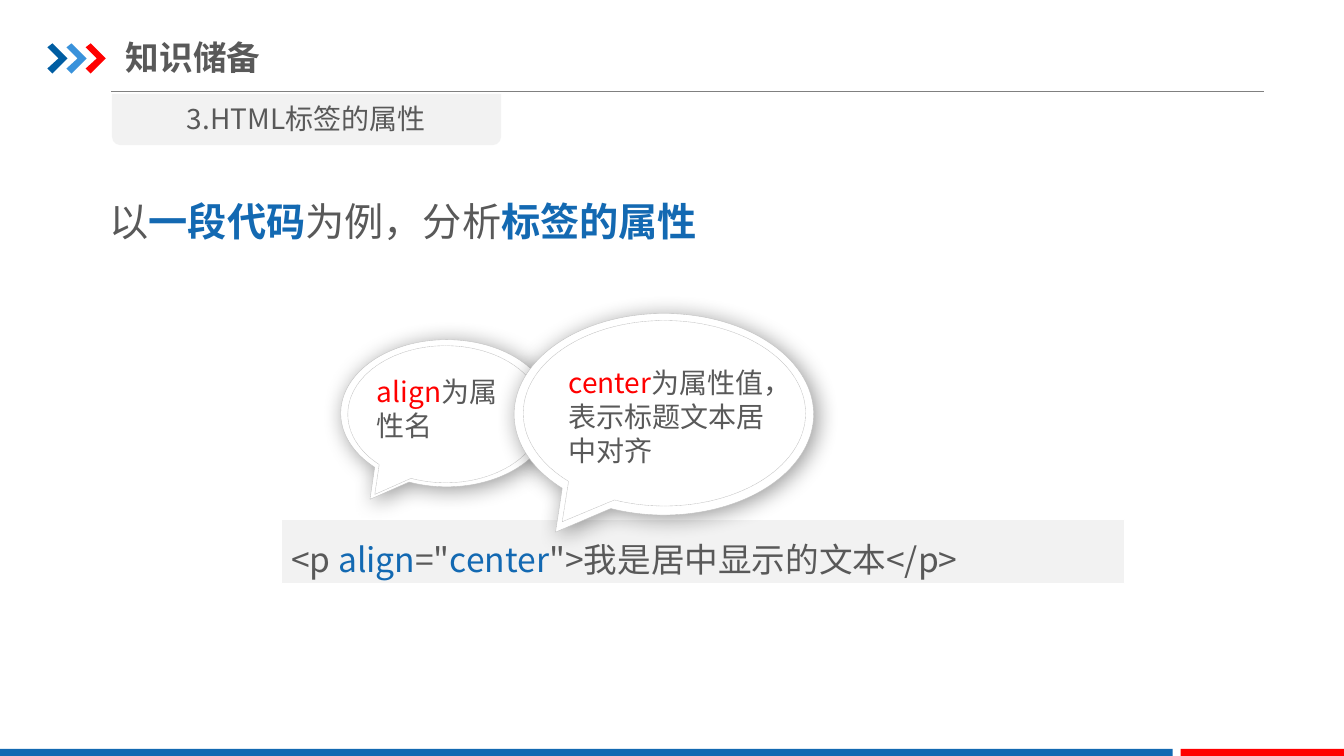
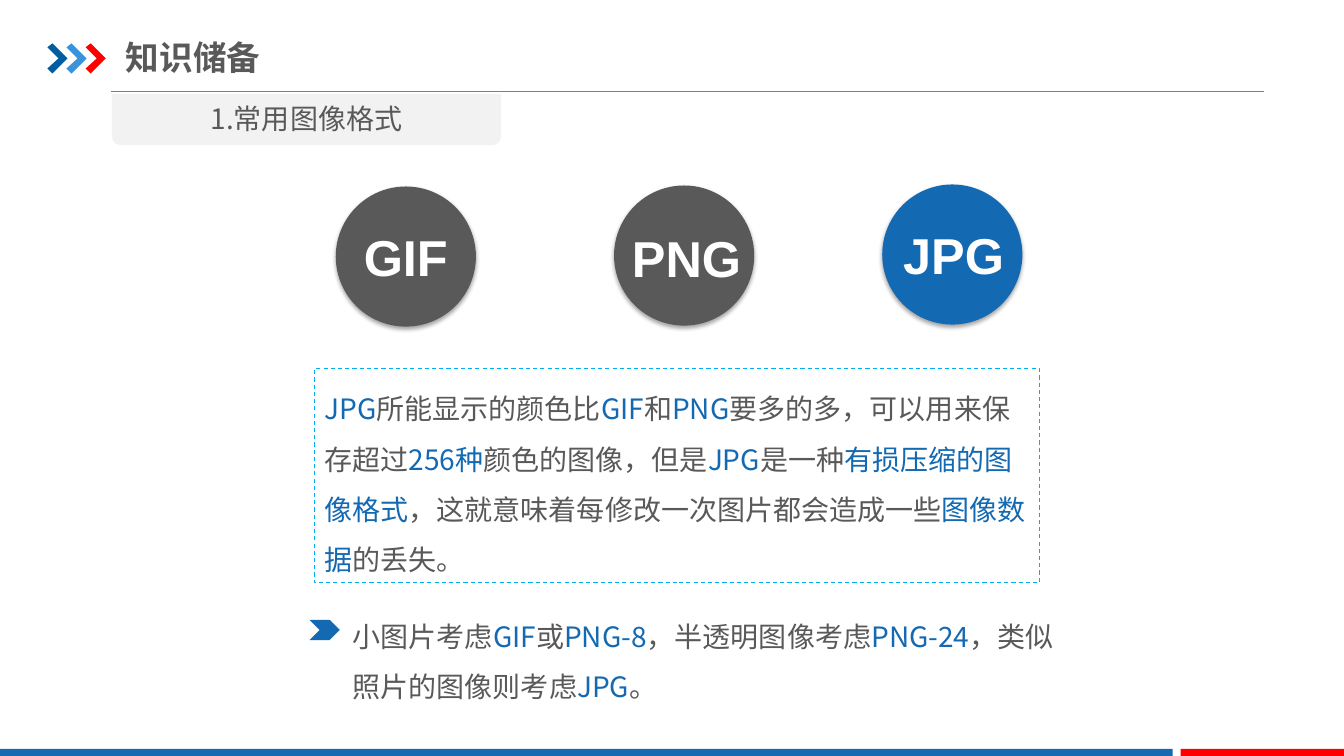
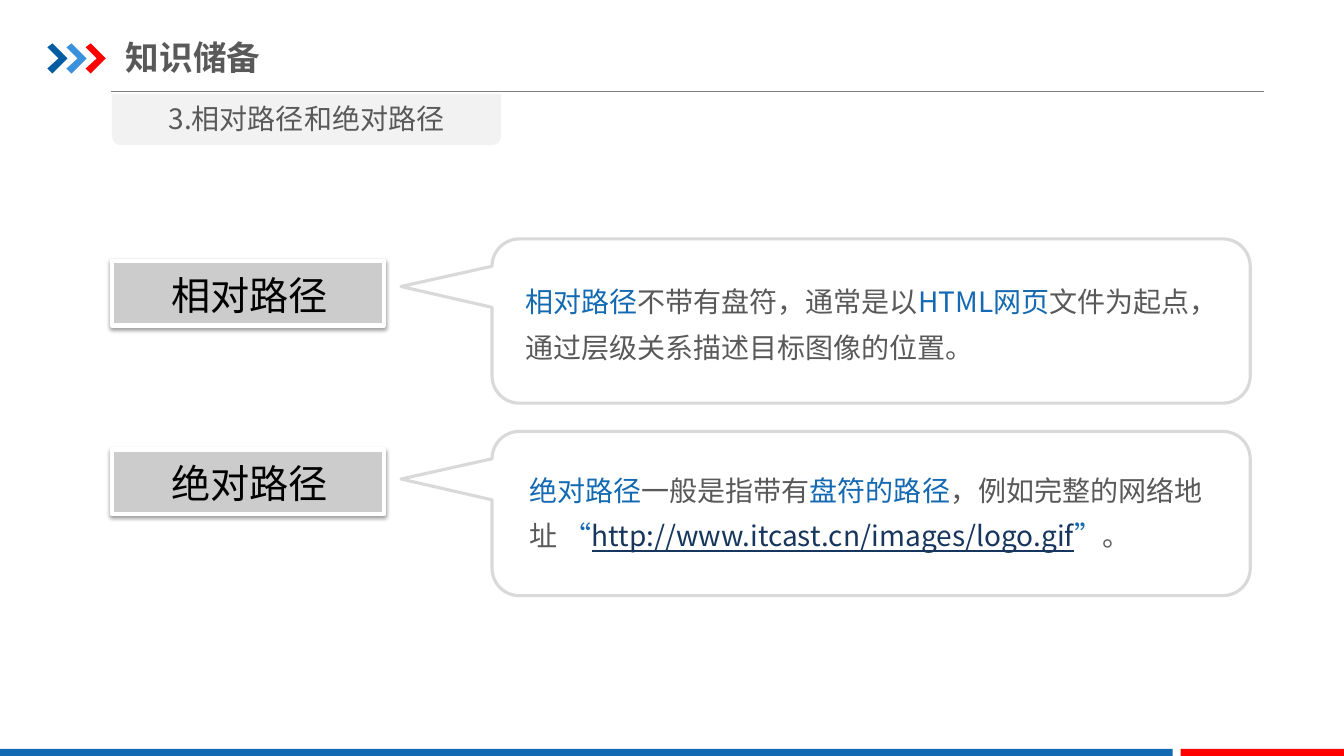
from lxml import etree
from pptx import Presentation
from pptx.dml.color import RGBColor
from pptx.enum.dml import MSO_LINE
from pptx.enum.shapes import MSO_CONNECTOR, MSO_SHAPE as SHAPE
from pptx.enum.text import MSO_ANCHOR as ANCHOR, PP_ALIGN as ALIGN
from pptx.oxml.ns import qn
from pptx.util import Inches, Pt

BLUE, RED, GREY, PALE, WHITE = "1369B2", "FF0000", "595959", "F2F2F2", "FFFFFF"
FONT = "Noto Sans CJK SC"

# Shared by every slide
TITLE = "知识储备"
ARROW_COLOURS = ["005DA2", "3992DB", RED]
ARROW_POINTS = [(0, 0.04), (0.05, 0), (0.2, 0.15), (0.05, 0.3), (0, 0.25), (0.11, 0.15)]
FOOTER_BANDS = [(0, 11.63, BLUE), (11.71, 1.63, RED)]

# Text is a list of paragraphs; each paragraph is a list of (words, colour, format)
ATTRIBUTE_HEADING = [[
    ("以", GREY), ("一段代码", BLUE, {"bold": True}),
    ("为例，分析", GREY), ("标签的属性", BLUE, {"bold": True}),
]]
CODE = [[
    ("<p ", GREY), ("align", BLUE), ('="', GREY), ("center", BLUE),
    ('">我是居中显示的文本</p>', GREY),
]]
BUBBLES = [  # outer box, inner box, text box, text
    ((3.38, 3.37, 2.1, 1.46), (3.45, 3.43, 1.94, 1.36), (3.64, 3.67, 1.65, 0.77),
     [[("align", RED), ("为属", GREY)], [("性名", GREY)]]),
    ((5.1, 3.11, 2.97, 2), (5.19, 3.18, 2.8, 1.84), (5.54, 3.58, 2.31, 1.45),
     [[("center", RED), ("为属性值，表示标题文本居中对齐", GREY)]]),
]

FORMATS = [  # name, circle left and top, label left and top, colour
    ("GIF", 3.33, 1.85, 3.51, 2.19, GREY),
    ("PNG", 6.09, 1.84, 6.17, 2.2, GREY),
    ("JPG", 8.75, 1.83, 8.86, 2.17, BLUE),
]
JPG_NOTE = [[
    ("JPG", BLUE), ("所能显示的颜色比", GREY), ("GIF", BLUE), ("和", GREY),
    ("PNG", BLUE), ("要多的多，可以用来保存超过", GREY), ("256种", BLUE),
    ("颜色的图像，但是", GREY), ("JPG", BLUE), ("是一种", GREY),
    ("有损压缩的图像格式", BLUE), ("，这就意味着每修改一次图片都会造成一些", GREY),
    ("图像数据", BLUE), ("的丢失。", GREY),
]]
FORMAT_TIP = [[
    ("小图片考虑", GREY), ("GIF", BLUE), ("或", GREY), ("PNG-8", BLUE),
    ("，半透明图像考虑", GREY), ("PNG-24", BLUE),
    ("，类似照片的图像则考虑", GREY), ("JPG", BLUE), ("。", GREY),
]]

PATHS = [  # label, label top, callout top, text left and top, text
    ("相对路径", 2.59, 2.37, 5.11, 2.66, [[
        ("相对路径", BLUE), ("不带有盘符，通常是以", GREY), ("HTML网页", BLUE),
        ("文件为起点，通过层级关系描述目标图像的位置。", GREY),
    ]]),
    ("绝对路径", 4.46, 4.28, 5.15, 4.53, [[
        ("绝对路径", BLUE), ("一般是指带有", GREY), ("盘符的路径", BLUE),
        ("，例如完整的网络地址 ", GREY), ("“", BLUE),
        ("http://www.itcast.cn/images/logo.gif", "17365D", {"underline": True}),
        ("”", BLUE), ("。", GREY),
    ]]),
]


def rgb(value):
    return RGBColor.from_string(value)


def add_shadow(sp, opacity, blur, dist, angle):
    effects = sp._element.spPr.find(qn("a:effectLst"))
    outer = etree.SubElement(effects, qn("a:outerShdw"), {
        "blurRad": str(Pt(blur)), "dist": str(Pt(dist)),
        "dir": str(angle * 60000), "algn": "ctr", "rotWithShape": "0"})
    colour = etree.SubElement(outer, qn("a:srgbClr"), val="000000")
    etree.SubElement(colour, qn("a:alpha"), val=str(opacity * 1000))


def paint(sp, fill=None, line=None, width=0.75, dash=None, shadow=None):
    """Fill and outline a shape; shadow is (opacity, blur, distance, angle)."""
    sp.shadow.inherit = False
    if fill:
        sp.fill.solid()
        sp.fill.fore_color.rgb = rgb(fill)
    else:
        sp.fill.background()
    if line:
        sp.line.color.rgb = rgb(line)
        sp.line.width = Pt(width)
        if dash:
            sp.line.dash_style = dash
    else:
        sp.line.fill.background()
    if shadow:
        add_shadow(sp, *shadow)


def add_shape(s, kind, box, adj=(), **look):
    sp = s.shapes.add_shape(kind, *map(Inches, box))
    for i, value in enumerate(adj):
        sp.adjustments[i] = value
    paint(sp, **look)
    return sp


def write(sp, paragraphs, size=20, font=FONT, bold=False, align=ALIGN.LEFT,
          spacing=None, anchor=ANCHOR.TOP, **margins):
    tf = sp.text_frame
    frame = {"word_wrap": True, "vertical_anchor": anchor}
    frame.update({f"margin_{side}": Inches(v) for side, v in margins.items()})
    for name, value in frame.items():
        setattr(tf, name, value)
    for i, runs in enumerate(paragraphs):
        p = tf.add_paragraph() if i else tf.paragraphs[0]
        p.alignment = align
        p.line_spacing = spacing
        for words, colour, *extra in runs:
            r = p.add_run()
            r.text = words
            look = {"name": font, "size": Pt(size), "bold": bold}
            look.update(*extra)
            for name, value in look.items():
                setattr(r.font, name, value)
            r.font.color.rgb = rgb(colour)
            etree.SubElement(r._r.get_or_add_rPr(), qn("a:ea"), typeface=font)


def add_text(s, box, paragraphs, **style):
    write(s.shapes.add_textbox(*map(Inches, box)), paragraphs, **style)


def add_slide(prs, heading):
    """Add a slide with the shared title, arrows, rule, footer and heading tab."""
    s = prs.slides.add_slide(prs.slide_layouts[6])
    rule = s.shapes.add_connector(
        MSO_CONNECTOR.STRAIGHT, *map(Inches, (1.1, 0.91, 12.54, 0.91)))
    rule.line.color.rgb = rgb("808080")
    rule.line.width = Pt(0.75)
    etree.SubElement(rule._element.spPr, qn("a:effectLst"))
    for i, colour in enumerate(ARROW_COLOURS):
        points = [(Inches(0.47 + 0.19 * i + x), Inches(0.43 + y)) for x, y in ARROW_POINTS]
        outline = s.shapes.build_freeform(*points[0])
        outline.add_line_segments(points[1:])
        paint(outline.convert_to_shape(), fill=colour)
    for left, width, colour in FOOTER_BANDS:
        add_shape(s, SHAPE.RECTANGLE, (left, 7.43, width, 0.09), fill=colour)
    add_text(s, (1.25, 0.29, 4.26, 0.55), [[(TITLE, GREY)]], size=24, bold=True,
             anchor=ANCHOR.MIDDLE, left=0, right=0, top=0.07, bottom=0.07)
    tab = add_shape(s, SHAPE.ROUND_2_SAME_RECTANGLE, (1.11, 0.93, 3.86, 0.51), fill=PALE)
    tab.rotation = 180
    add_text(s, (1.11, 0.96, 3.86, 0.44), [[(heading, GREY)]], align=ALIGN.CENTER)
    return s


def attributes_slide(prs):
    s = add_slide(prs, "3.HTML标签的属性")
    add_text(s, (0.99, 1.91, 6.3, 0.57), ATTRIBUTE_HEADING, size=28)
    bar = add_shape(s, SHAPE.RECTANGLE, (2.79, 5.15, 8.36, 0.64), fill=PALE, line=WHITE)
    write(bar, CODE, size=24, anchor=ANCHOR.MIDDLE, top=0.2)
    bubble = {"adj": (-0.362, 0.585), "fill": WHITE, "line": "BFBFBF", "width": 0.25}
    for outer, inner, text_box, text in BUBBLES:
        add_shape(s, SHAPE.OVAL_CALLOUT, outer, shadow=(40, 16, 3, 45), **bubble)
        add_shape(s, SHAPE.OVAL_CALLOUT, inner, dash=MSO_LINE.SQUARE_DOT, **bubble)
        add_text(s, text_box, text)


def formats_slide(prs):
    s = add_slide(prs, "1.常用图像格式")
    for name, left, top, text_left, text_top, colour in FORMATS:
        add_shape(s, SHAPE.OVAL, (left, top, 1.39, 1.39), fill=colour,
                  shadow=(35, 3.1, 1.8, 90))
        add_text(s, (text_left, text_top, 1.46, 0.71), [[(name, WHITE)]],
                 size=36, font="Arial", bold=True)
    note = add_shape(s, SHAPE.RECTANGLE, (3.12, 3.66, 7.19, 2.12), fill=WHITE,
                     line="00B0F0", dash=MSO_LINE.DASH)
    write(note, JPG_NOTE, spacing=1.5, anchor=ANCHOR.MIDDLE)
    add_shape(s, SHAPE.CHEVRON, (3.07, 6.15, 0.3, 0.2), fill=BLUE)
    add_text(s, (3.4, 5.93, 7.2, 1.11), FORMAT_TIP, spacing=1.5)


def paths_slide(prs):
    s = add_slide(prs, "3.相对路径和绝对路径")
    for label, top, callout_top, text_left, text_top, text in PATHS:
        add_shape(s, SHAPE.RECTANGLE, (1.11, top, 2.7, 0.64), fill="CCCCCC",
                  line=WHITE, width=3, shadow=(38, 3.1, 1.6, 90))
        add_text(s, (1.13, top + 0.05, 2.69, 0.57), [[(label, "000000")]],
                 size=28, align=ALIGN.CENTER)
        add_shape(s, SHAPE.ROUNDED_RECTANGULAR_CALLOUT, (4.88, callout_top, 7.52, 1.63),
                  adj=(-0.62, -0.21), line="D9D9D9", width=2.25)
        add_text(s, (text_left, text_top, 7.11, 1.01), text, spacing=1.35)


def main():
    prs = Presentation()
    prs.slide_width, prs.slide_height = Inches(13.33), Inches(7.5)
    for build in (attributes_slide, formats_slide, paths_slide):
        build(prs)
    prs.save("out.pptx")


if __name__ == "__main__":
    main()
